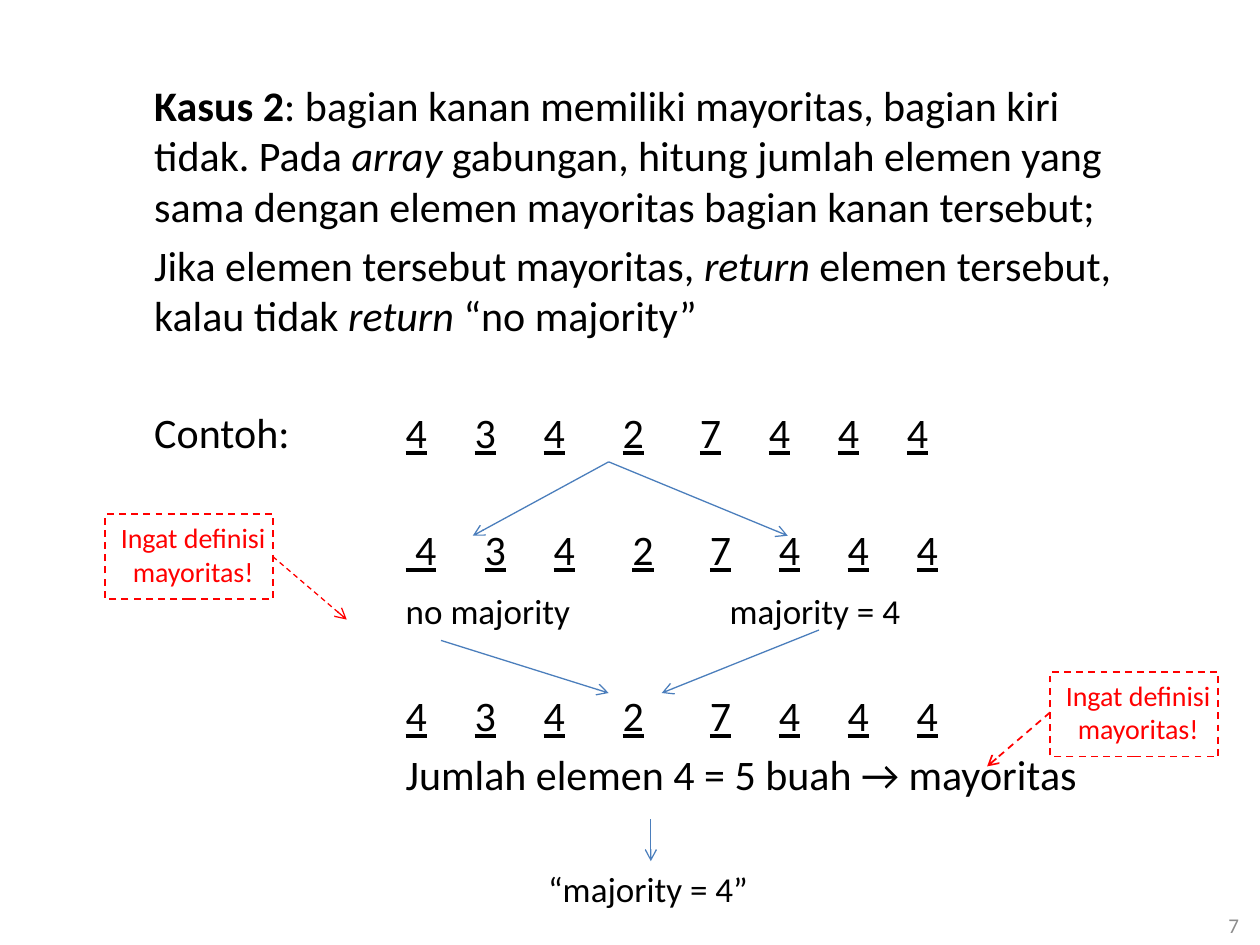
from dataclasses import dataclass

from lxml.etree import SubElement
from pptx import Presentation
from pptx.dml.color import RGBColor
from pptx.enum.dml import MSO_LINE
from pptx.enum.shapes import MSO_CONNECTOR, MSO_SHAPE
from pptx.enum.text import MSO_ANCHOR, PP_ALIGN
from pptx.oxml.ns import qn
from pptx.util import Cm, Pt


@dataclass(frozen=True)
class Theme:
    font: str = "Calibri"
    ink: RGBColor = RGBColor(0, 0, 0)
    flow: RGBColor = RGBColor(0x4B, 0x7E, 0xBC)
    alert: RGBColor = RGBColor(0xFF, 0, 0)
    muted: RGBColor = RGBColor(0x8C, 0x8C, 0x8C)
    body: int = 24
    result: int = 20
    reminder: int = 16
    footer: int = 12


theme = Theme()


def style(font, size, color):
    font.name, font.size = theme.font, Pt(size)
    font.color.rgb = color


def add_arrow(start, end, color, width, dashed=False):
    arrow = slide.shapes.add_connector(
        MSO_CONNECTOR.STRAIGHT, *(Cm(v) for v in start + end))
    arrow.line.color.rgb = color
    arrow.line.width = Pt(width)
    if dashed:
        arrow.line.dash_style = MSO_LINE.DASH
    SubElement(arrow.line._get_or_add_ln(), qn("a:tailEnd"), type="arrow")
    SubElement(arrow._element.spPr, qn("a:effectLst"))


deck = Presentation()
deck.slide_width, deck.slide_height = Cm(25.4), Cm(19.05)
slide = deck.slides.add_slide(deck.slide_layouts[6])

# Tab stops in cm: the array halves start at fixed columns
LEFT, RIGHT = 5.07, 11.2
half = (0, 1.39, 2.78, 4.37)
right_half = (0, 1.39, 2.78, 4.17)
whole_stops = [LEFT + x for x in half] + [RIGHT - 0.2 + x for x in right_half]
split_stops = ([LEFT] + [LEFT + 0.2 + x for x in half[1:]]
               + [RIGHT + x for x in right_half])
merged_stops = [LEFT + x for x in half] + [RIGHT + x for x in right_half]

# Space before (pt), tab stops, size, runs with b/i/u marks
explanation = [
    (0, [], theme.body, [
        ("Kasus 2", "b"),
        (": bagian kanan memiliki mayoritas, bagian kiri tidak. Pada ", ""),
        ("array", "i"),
        (" gabungan, hitung jumlah elemen yang sama dengan elemen mayoritas "
         "bagian kanan tersebut;", "")]),
    (4.8, [], theme.body, [
        ("Jika elemen tersebut mayoritas, ", ""), ("return", "i"),
        (" elemen tersebut, kalau tidak ", ""), ("return", "i"),
        (" “no majority”", "")]),
    (38, whole_stops, theme.body, [
        ("Contoh:\t", ""), ("4\t3\t4\t2\t7\t4\t4\t4", "u")]),
    (38, split_stops, theme.body, [
        ("\t", ""), (" 4\t3\t4\t2", "u"), ("\t", ""), ("7\t4\t4\t4", "u")]),
    (9, [LEFT, 11.6], theme.result, [("\tno majority\tmajority = 4", "")]),
    (33, merged_stops, theme.body, [
        ("\t", ""), ("4\t3\t4\t2\t7\t4\t4\t4", "u")]),
    (4.8, [LEFT], theme.body, [
        ("\tJumlah elemen 4 = 5 buah → mayoritas", "")]),
]
body = slide.shapes.add_textbox(Cm(1.9), Cm(1.48), Cm(21.6), Cm(15.44)).text_frame
body.word_wrap = True
body.margin_left = Cm(1.21)
for index, (gap, stops, size, pieces) in enumerate(explanation):
    paragraph = body.paragraphs[0] if index == 0 else body.add_paragraph()
    paragraph.space_before = Pt(gap)
    if stops:
        tabs = SubElement(paragraph._p.get_or_add_pPr(), qn("a:tabLst"))
        for stop in stops:
            SubElement(tabs, qn("a:tab"), pos=str(Cm(stop)), algn="l")
    for text, marks in pieces:
        run = paragraph.add_run()
        run.text = text
        style(run.font, size, theme.ink)
        run.font.bold = "b" in marks
        run.font.italic = "i" in marks
        run.font.underline = "u" in marks

# Splitting, merging and returning the result
for start, end in [
    ((12.27, 9.31), (9.53, 10.8)),
    ((12.27, 9.31), (15.88, 10.8)),
    ((8.89, 12.91), (12.27, 13.97)),
    ((16.51, 12.7), (13.34, 13.97)),
    ((13.12, 16.51), (13.12, 17.36)),
]:
    add_arrow(start, end, theme.flow, 0.75)

# Reminders of the definition
for left, top, start, end, width in [
    (21.17, 13.55, (21.17, 14.36), (19.9, 15.45), 1),
    (2.12, 10.37, (5.5, 11.22), (6.99, 12.49), 0.75),
]:
    frame = slide.shapes.add_shape(
        MSO_SHAPE.RECTANGLE, Cm(left), Cm(top), Cm(3.39), Cm(1.7))
    frame.shadow.inherit = False
    frame.fill.background()
    frame.line.color.rgb = theme.alert
    frame.line.width = Pt(1)
    frame.line.dash_style = MSO_LINE.DASH
    add_arrow(start, end, theme.alert, width, dashed=True)

# Short labels
for text, box, size, color, align, anchor in [
    ("“majority = 4”", (10.8, 17.36, 4.67, 1.11), theme.result, theme.ink,
     PP_ALIGN.LEFT, MSO_ANCHOR.TOP),
    ("Ingat definisi\nmayoritas!", (21.17, 13.55, 3.55, 1.62), theme.reminder,
     theme.alert, PP_ALIGN.CENTER, MSO_ANCHOR.TOP),
    ("Ingat definisi\nmayoritas!", (2.12, 10.37, 3.55, 1.62), theme.reminder,
     theme.alert, PP_ALIGN.CENTER, MSO_ANCHOR.TOP),
    ("7", (19.46, 18.26, 5.77, 0.79), theme.footer, theme.muted,
     PP_ALIGN.RIGHT, MSO_ANCHOR.MIDDLE),
]:
    label = slide.shapes.add_textbox(*(Cm(v) for v in box)).text_frame
    label.text = text
    label.word_wrap = False
    label.vertical_anchor = anchor
    for paragraph in label.paragraphs:
        paragraph.alignment = align
        style(paragraph.runs[0].font, size, color)

deck.save("out.pptx")
